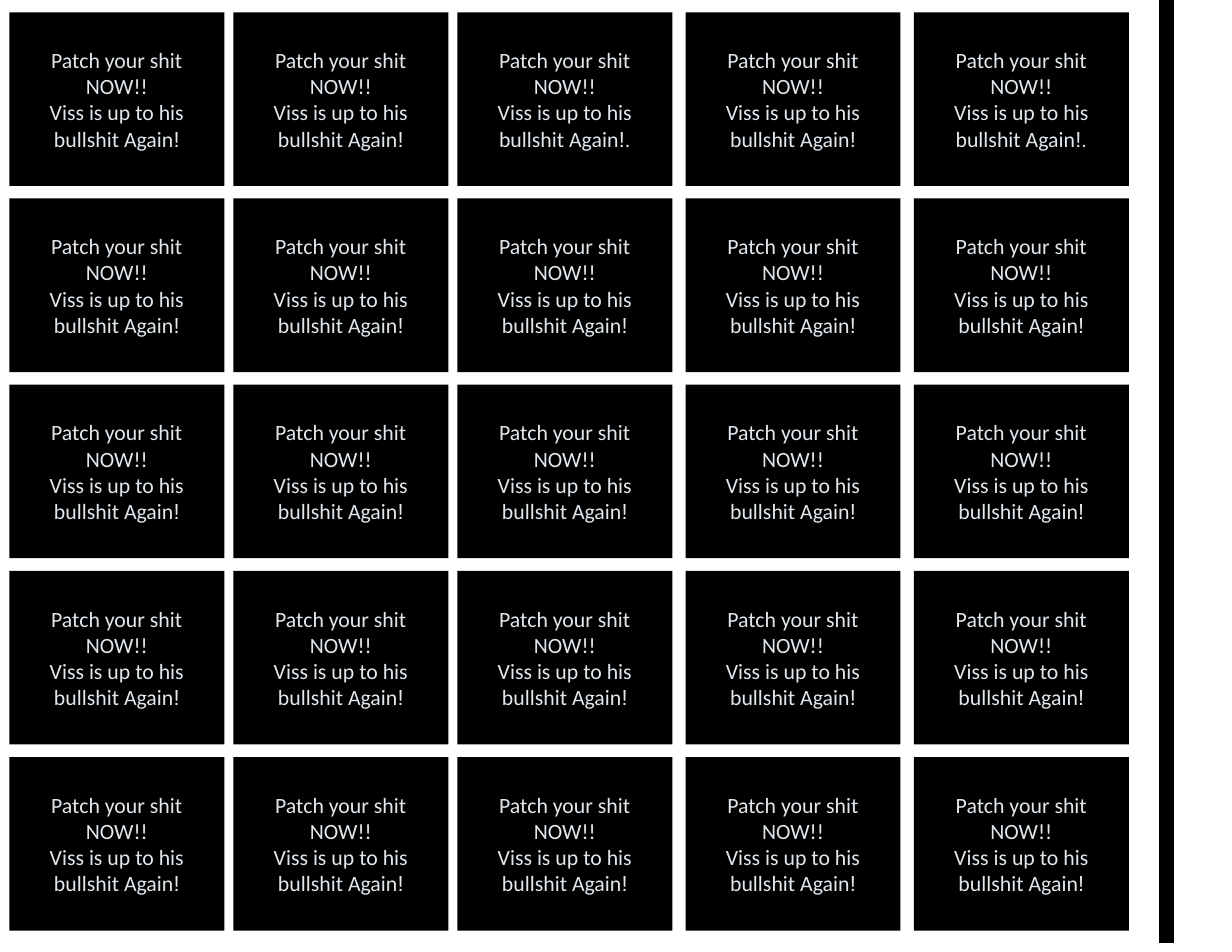
from dataclasses import dataclass

from pptx import Presentation
from pptx import util as u
from pptx.dml.color import RGBColor
from pptx.enum import shapes, text
from pptx.oxml import parse_xml
from pptx.oxml.ns import nsdecls

# Card grid, in points
COLUMN_LEFTS = (6, 150, 294, 440.7, 587.5)
ROW_COUNT, FIRST_TOP, ROW_PITCH = 5, 7.9, 119.7
CARD_WIDTH, CARD_HEIGHT = 138.2, 111.6
FULL_STOP_CARDS = {(0, 2), (0, 4)}  # (row, column)


@dataclass
class Card:
    left: float
    top: float
    full_stop: bool


def color(hex_code: str) -> RGBColor:
    return RGBColor.from_string(hex_code)


def style(font) -> None:
    font.size = u.Pt(14)
    font.color.rgb = color("E1E8ED")


def draw_card(slide, card: Card) -> None:
    panel = slide.shapes.add_shape(
        shapes.MSO_SHAPE.RECTANGLE,
        u.Pt(card.left), u.Pt(card.top), u.Pt(CARD_WIDTH), u.Pt(CARD_HEIGHT))
    panel.shadow.inherit = False
    panel.fill.solid()
    panel.fill.fore_color.rgb = color("000000")
    panel.line.fill.background()

    message = panel.text_frame
    message.word_wrap = True
    message.vertical_anchor = text.MSO_ANCHOR.MIDDLE
    demand = message.paragraphs[0]
    reason = message.add_paragraph()
    for line in (demand, reason):
        line.alignment = text.PP_ALIGN.CENTER
        style(line.font)

    demand.text = "Patch your shit NOW!!"
    demand.font.name = "Calibri"
    pieces = [("Viss is up to his bullshit Again", "Calibri"), ("!", "Arial")]
    if card.full_stop:
        pieces.append((".", "Roboto"))
    for words, font_name in pieces:
        piece = reason.add_run()
        piece.text = words
        piece.font.name = font_name
        style(piece.font)
    # Runs without their own size would fall back to the shape style
    for piece in demand.runs:
        piece.font.name = "Calibri"
        style(piece.font)


def draw_edge_bar(slide, x: float, bottom: float) -> None:
    bar = slide.shapes.add_connector(
        shapes.MSO_CONNECTOR.STRAIGHT, u.Pt(x), u.Pt(0), u.Pt(x), u.Pt(bottom))
    bar.line.color.rgb = color("000000")
    bar.line.width = u.Pt(9.75)
    bar._element.spPr.append(parse_xml(f"<a:effectLst {nsdecls('a')}/>"))


def main() -> None:
    deck = Presentation()
    deck.slide_width, deck.slide_height = u.Pt(792), u.Pt(612)
    slide = deck.slides.add_slide(deck.slide_layouts[6])

    # Bar beside the cards
    draw_edge_bar(slide, 750, 606.2)

    # Cards, column by column
    for column, left in enumerate(COLUMN_LEFTS):
        for row in range(ROW_COUNT):
            top = FIRST_TOP + row * ROW_PITCH
            draw_card(slide, Card(left, top, (row, column) in FULL_STOP_CARDS))

    deck.save("out.pptx")


if __name__ == "__main__":
    main()
